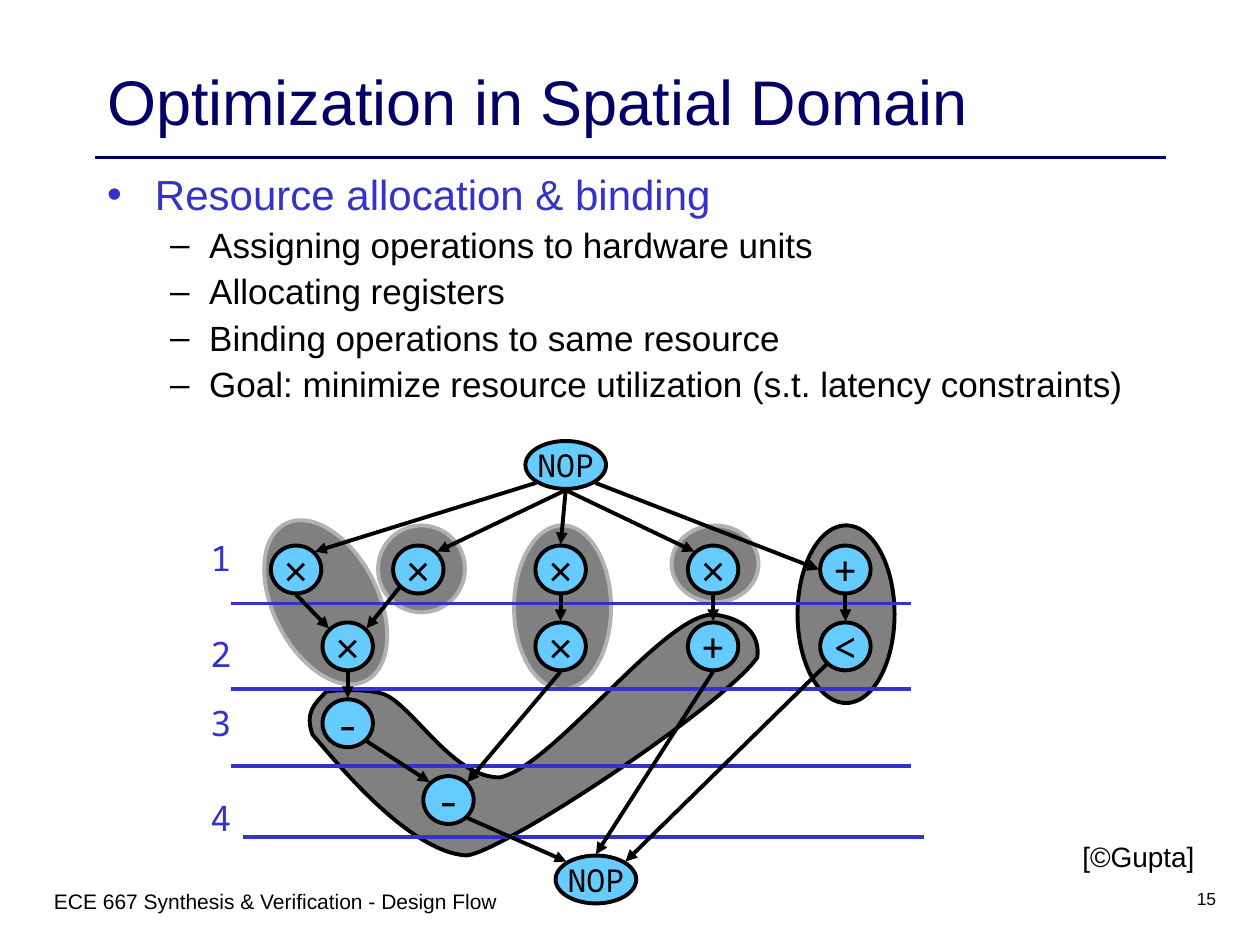
from lxml import etree
from pptx import Presentation
from pptx.dml.color import RGBColor
from pptx.enum import shapes, text
from pptx.oxml import ns
from pptx.util import Inches, Pt

NAVY, BLUE, SKY = "000066", "3333CC", "66CCFF"
BLACK, GREY, SILVER = "000000", "808080", "B2B2B2"
SANS, MONO = "Arial", "Noto Sans Mono"
LEFT, CENTER, RIGHT = text.PP_ALIGN.LEFT, text.PP_ALIGN.CENTER, text.PP_ALIGN.RIGHT

# Points on an ellipse, as fractions of its radii
SITES = {"N": (0, -1), "S": (0, 1), "W": (-1, 0), "NW": (-0.71, -0.71),
         "NE": (0.71, -0.71), "SW": (-0.71, 0.71), "SE": (0.71, 0.71)}

COLUMNS = {"a": 0.68, "ab": 1.09, "b": 1.65, "minus": 1.89, "c": 2.78, "d": 3.99, "e": 5.04}
FIRST_ROW, ROW_STEP = 1.02, 0.61
OPERATIONS = [("a", 1, "×"), ("b", 1, "×"), ("c", 1, "×"), ("d", 1, "×"), ("e", 1, "+"),
              ("ab", 2, "×"), ("c", 2, "×"), ("d", 2, "+"), ("e", 2, "<"),
              ("ab", 3, "-"), ("minus", 4, "-")]
EDGES = ["source SW a1 NE", "source S b1 NE", "source S c1 N", "source S d1 NW",
         "source SE e1 W", "e1 S e2 N", "d1 S d2 N", "c1 S c2 N", "b1 SW ab2 NE",
         "a1 S ab2 NW", "ab2 S ab3 N", "c2 S minus4 NE", "ab3 SE minus4 NW",
         "d2 S sink N", "e2 SW sink NE", "minus4 SE sink NW"]
CLUSTERS = [(3.66, 0.67, 0.69, 0.61, 0, SILVER), (1.33, 0.67, 0.69, 0.69, 0, SILVER),
            (0.5, 0.58, 0.83, 1.4, -27.1, SILVER), (2.41, 0.67, 0.77, 1.3, 0, SILVER),
            (4.66, 0.67, 0.77, 1.41, 0, BLACK)]
ALU_START = (4.01, 1.38)
ALU_CURVES = [(4.29, 1.42), (4.36, 1.58), (4.34, 1.72), (4.05, 2.12), (2.31, 3.27), (2.03, 3.29),
              (1.57, 3.26), (0.99, 2.54), (0.81, 2.33), (0.75, 2.16), (0.82, 2.09), (0.92, 1.99),
              (1.04, 1.97), (1.3, 1.97), (1.4, 2.02), (1.63, 2.14), (1.94, 2.68), (2.3, 2.67),
              (2.74, 2.57), (3.63, 1.33), ALU_START]
# Label top, line height, line left
STEPS = [(0.76, 1.29, 0.16), (1.52, 1.97, 0.16), (2.07, 2.58, 0.16), (2.82, 3.14, 0.26)]


def rgb(value):
    return RGBColor.from_string(value)


def add_run(p, words, size, color, font=SANS):
    r = p.add_run()
    r.text = words
    r.font.size, r.font.name = Pt(size), font
    r.font.color.rgb = rgb(color)


def style(sp, fill, line):
    sp.shadow.inherit = False
    sp.fill.solid()
    sp.fill.fore_color.rgb = rgb(fill)
    sp.line.color.rgb = rgb(line)
    sp.line.width = Pt(2.25)


def add_ellipse(slide, x, y, w, h, fill, line):
    sp = slide.shapes.add_shape(shapes.MSO_SHAPE.OVAL, Inches(x), Inches(y), Inches(w), Inches(h))
    style(sp, fill, line)
    return sp


def add_line(slide, x1, y1, x2, y2, color, arrow=False):
    line = slide.shapes.add_connector(shapes.MSO_CONNECTOR.STRAIGHT,
                                      Inches(x1), Inches(y1), Inches(x2), Inches(y2))
    line.line.color.rgb = rgb(color)
    line.line.width = Pt(2.25)
    if arrow:
        etree.SubElement(line.line._get_or_add_ln(), ns.qn("a:tailEnd"), type="triangle")
    etree.SubElement(line._element.spPr, ns.qn("a:effectLst"))


def add_label(slide, box, words, size, color, font=SANS, align=LEFT, inset=(0, 0), wrap=False):
    tf = slide.shapes.add_textbox(*map(Inches, box)).text_frame
    tf.word_wrap = wrap
    tf.margin_left = tf.margin_right = Inches(inset[0])
    tf.margin_top = tf.margin_bottom = Inches(inset[1])
    p = tf.paragraphs[0]
    p.alignment = align
    add_run(p, words, size, color, font)


def add_title(slide, x, y, w, h):
    sp = slide.shapes.title
    sp.left, sp.top, sp.width, sp.height = map(Inches, (x, y, w, h))
    tf = sp.text_frame
    tf.vertical_anchor = text.MSO_ANCHOR.MIDDLE
    p = tf.paragraphs[0]
    p.alignment = LEFT
    add_run(p, "Optimization in Spatial Domain", 36, NAVY)
    add_line(slide, x, y + 1.08, x + w, y + 1.08, NAVY)


def set_bullet(p, char, color, left, hanging):
    pPr = p._p.get_or_add_pPr()
    pPr.set("marL", str(Inches(left)))
    pPr.set("indent", str(-Inches(hanging)))
    clr = etree.SubElement(pPr, ns.qn("a:buClr"))
    etree.SubElement(clr, ns.qn("a:srgbClr"), val=color)
    etree.SubElement(pPr, ns.qn("a:buFont"), typeface=SANS)
    etree.SubElement(pPr, ns.qn("a:buChar"), char=char)


def add_body(slide, x, y, w, h):
    sp = slide.placeholders[1]
    sp.left, sp.top, sp.width, sp.height = map(Inches, (x, y, w, h))
    tf = sp.text_frame
    tf.auto_size = text.MSO_AUTO_SIZE.NONE
    p = tf.paragraphs[0]
    set_bullet(p, "•", BLUE, 0.38, 0.38)
    p.line_spacing, p.space_before = 0.9, Pt(0)
    add_run(p, "Resource allocation & binding", 24, BLUE)
    for item in ("Assigning operations to hardware units", "Allocating registers",
                 "Binding operations to same resource",
                 "Goal: minimize resource utilization (s.t. latency constraints)"):
        p = tf.add_paragraph()
        p.level = 1
        set_bullet(p, "–", BLACK, 0.81, 0.31)
        p.line_spacing, p.space_before = 0.9, Pt(5)
        add_run(p, item, 20, BLACK)


def add_clusters(slide, x, y):
    """Grey regions that group operations sharing a resource."""
    def point(dx, dy):
        return Inches(x + dx), Inches(y + dy)

    builder = slide.shapes.build_freeform(*point(*ALU_START))
    builder.add_line_segments([point(*c) for c in ALU_CURVES], close=True)
    alu = builder.convert_to_shape()
    style(alu, GREY, BLACK)
    # Every three points become the controls and end of one curve
    segments = list(alu._element.iter(ns.qn("a:lnTo")))
    for i in range(0, len(segments), 3):
        curve = etree.Element(ns.qn("a:cubicBezTo"))
        segments[i].addprevious(curve)
        for segment in segments[i:i + 3]:
            curve.append(segment[0])
            segment.getparent().remove(segment)

    for dx, dy, w, h, angle, line in CLUSTERS:
        add_ellipse(slide, x + dx, y + dy, w, h, GREY, line).rotation = angle


def add_node(slide, cx, cy, w, symbol, size, font):
    h = 0.38
    sp = add_ellipse(slide, cx - w / 2, cy - h / 2, w, h, SKY, BLACK)
    tf = sp.text_frame
    tf.word_wrap = False
    tf.vertical_anchor = text.MSO_ANCHOR.MIDDLE
    tf.margin_left = tf.margin_right = Inches(0.1)
    tf.margin_top = tf.margin_bottom = Inches(0.05)
    p = tf.paragraphs[0]
    p.alignment = CENTER
    add_run(p, symbol, size, BLACK, font)
    return cx, cy, w / 2 + 0.01, h / 2 + 0.01


def site_point(node, site):
    cx, cy, rx, ry = node
    dx, dy = SITES[site]
    return cx + dx * rx, cy + dy * ry


def add_sequencing_graph(slide, x, y):
    add_clusters(slide, x, y)
    nodes = {"source": add_node(slide, x + 2.82, y + 0.19, 0.64, "NOP", 18, MONO),
             "sink": add_node(slide, x + 3.06, y + 3.48, 0.64, "NOP", 18, MONO)}
    for column, row, symbol in OPERATIONS:
        cy = y + FIRST_ROW + (row - 1) * ROW_STEP
        font = SANS if symbol == "×" else MONO
        nodes[f"{column}{row}"] = add_node(slide, x + COLUMNS[column], cy, 0.4, symbol, 24, font)
    for number, (label_top, line_y, line_x) in enumerate(STEPS, 1):
        add_label(slide, (x, y + label_top, 0.2, 0.33), str(number), 20, BLUE, MONO)
        add_line(slide, x + line_x, y + line_y, x + line_x + 5.4, y + line_y, BLUE)
    for edge in EDGES:
        start, start_site, end, end_site = edge.split()
        add_line(slide, *site_point(nodes[start], start_site),
                 *site_point(nodes[end], end_site), BLACK, arrow=True)


def add_footer(slide, x, y, w, h):
    inset = (0.1, 0.05)
    add_label(slide, (x, y, 4.5, h), "ECE 667 Synthesis & Verification - Design Flow",
              12, BLACK, inset=inset, wrap=True)
    add_label(slide, (x + w - 2.08, y, 2.08, h), "15", 10, BLACK,
              align=RIGHT, inset=inset, wrap=True)


def main():
    prs = Presentation()
    prs.slide_width, prs.slide_height = Inches(10), Inches(7.5)
    slide = prs.slides.add_slide(prs.slide_layouts[1])
    add_title(slide, 0.75, 0.17, 8.5, 1.25)
    add_body(slide, 0.75, 1.33, 8.73, 2.08)
    add_sequencing_graph(slide, 1.67, 3.5)
    add_label(slide, (8.59, 6.66, 0.89, 0.27), "[©Gupta]", 16, BLACK, align=RIGHT)
    add_footer(slide, 0.33, 7, 9.42, 0.5)
    prs.save("out.pptx")


if __name__ == "__main__":
    main()
